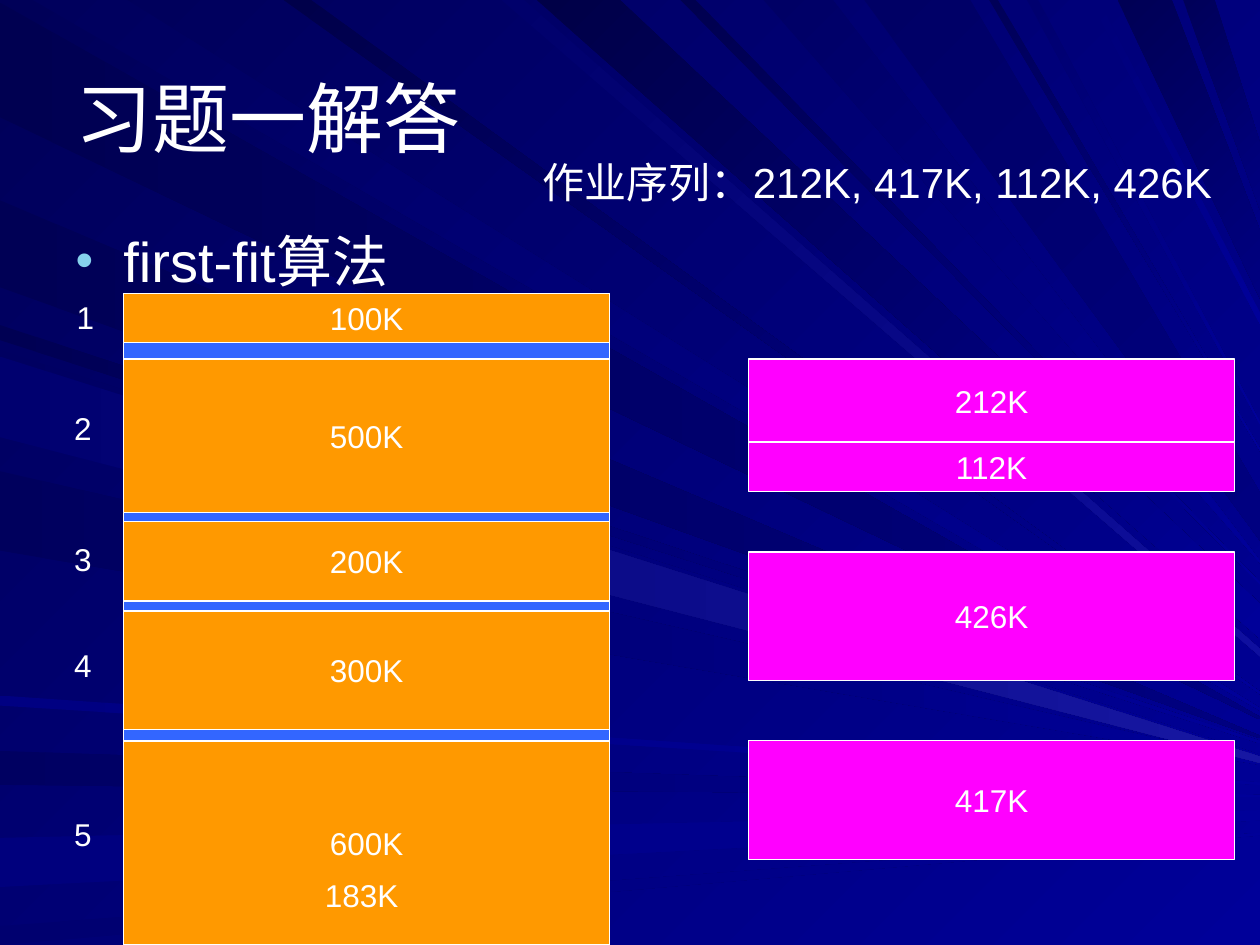
from typing import NamedTuple

from lxml.etree import SubElement as Sub
from pptx import Presentation
from pptx.dml.color import RGBColor
from pptx.enum.shapes import MSO_SHAPE as Kind
from pptx.enum.text import MSO_ANCHOR as Anchor, MSO_AUTO_SIZE as Fit, PP_ALIGN as Align
from pptx.oxml.ns import qn
from pptx.util import Inches, Pt

WHITE, BLUE, ORANGE, PINK = "FFFFFF", "3366FF", "FF9900", "FF00FF"
FONT = "Arial"
WIDE = 3.86                        # width of every memory block
COLUMN = {BLUE: 0.98, ORANGE: 0.98, PINK: 5.94}  # left edge by fill


class Ray(NamedTuple):
    """A wedge from the left or top edge to the right edge."""
    start: float
    end: float
    tip: float
    hues: str
    flare: float = 0.02


class Block(NamedTuple):
    text: str
    top: float
    high: float
    fill: str = ORANGE


class Label(NamedTuple):
    text: str
    top: float
    left: float = 0.49
    wide: float = 0.39
    high: float = 0.4
    size: int = 18


LEFT_RAYS = [
    Ray(0.02, 0.93, 5.7, "000051 000080"),
    Ray(5.96, 6.23, 6.32, "000061 000099"),
    Ray(6.65, 7.04, 6.47, "00007D 000099", 0.08),
    Ray(7.35, 7.5, 6.62, "00006F 000099"),
    Ray(2.58, 2.7, 5.89, "000053 000099"),
    Ray(1.59, 2.28, 5.85, "000055 000080"),
    Ray(2.78, 3.42, 6, "000061 000099"),
    Ray(3.74, 4.37, 6.06, "00005D 000099"),
    Ray(5.52, 5.6, 6.22, "000082 000099"),
    Ray(2.83, 3.47, 6.03, "00006F 1717A2", 0.05),
]
TOP_RAYS = [
    Ray(0.26, 1.01, 5.63, "00005D 000099"),
    Ray(3.98, 4.16, 5.18, "00006B 0F0F9F", 0.06),
    Ray(4.26, 4.92, 4.93, "000047 000099", 0.28),
    Ray(5.4, 5.52, 4.63, "00004F 000099"),
    Ray(6.06, 6.61, 4.46, "000065 000099"),
    Ray(8.87, 9.3, 2.1, "000055 000080", 0.54),
    Ray(9.39, 9.64, 1.4, "000059 000080", 0.53),
    Ray(2.25, 2.47, 5.5, "00004A 000099"),
    Ray(6.86, 7.7, 4.1, "000065 000080", 0.38),
    Ray(7.85, 7.92, 3.57, "000058 000099"),
    Ray(8.15, 8.24, 3.36, "00006F 000099"),
    Ray(8.65, 8.72, 2.53, "000079 000099", 0.09),
]

BLOCKS = [
    Block("", 2.33, 5.17, BLUE),
    Block("100K", 2.33, 0.39),
    Block("500K", 2.85, 1.22),
    Block("200K", 4.14, 0.63),
    Block("300K", 4.85, 0.94),
    Block("600K", 5.88, 1.62),
    Block("212K", 2.85, 0.66, PINK),
    Block("417K", 5.88, 0.94, PINK),
    Block("112K", 3.51, 0.39, PINK),
    Block("426K", 4.38, 1.02, PINK),
]

LABELS = [
    Label("1", 2.32, 0.51, 0.47),
    Label("2", 3.2),
    Label("3", 4.24),
    Label("4", 5.08),
    Label("5", 6.42),
    Label("作业序列：212K, 417K, 112K, 426K", 1.19, 4.21, 5.59, 0.5, 24),
]


def color(code: str) -> RGBColor:
    return RGBColor.from_string(code)


def paint(fill, hues: str, angle: int = 0) -> None:
    """Fill with one colour, or with a gradient between two."""
    codes = hues.split()
    if len(codes) == 1:
        fill.solid()
        fill.fore_color.rgb = color(codes[0])
        return
    fill.gradient()
    fill.gradient_angle = -angle % 360
    for stop, code in zip(fill.gradient_stops, codes):
        stop.color.rgb = color(code)


def write(shape, text: str, size: int, align=Align.LEFT, wrap: bool = True):
    frame = shape.text_frame
    frame.word_wrap = wrap
    frame.auto_size = Fit.NONE
    para = frame.paragraphs[0]
    para.text = text
    para.alignment = align
    para.space_before = Pt(0)
    font = para.font
    font.name, font.size = FONT, Pt(size)
    font.color.rgb = color(WHITE)
    return frame


def place(shape, *box: float) -> None:
    shape.left, shape.top, shape.width, shape.height = map(Inches, box)


def add_ray(group, ray: Ray, side: bool) -> None:
    ends = (ray.start, ray.end)
    base = [(0, end) if side else (end, 0) for end in ends]
    half = ray.flare / 2
    low, high = (10, ray.tip + half), (10, ray.tip - half)
    far = [low, high] if side else [high, low]
    first, *rest = [(Inches(x), Inches(y)) for x, y in base + far]
    pen = group.shapes.build_freeform(*first, scale=1.0)
    pen.add_line_segments(rest, close=True)
    shape = pen.convert_to_shape()
    shape.shadow.inherit = False
    shape.line.fill.background()
    paint(shape.fill, ray.hues, 0 if side else 45)


def add_rect(slide, fill: str, *box: float):
    shape = slide.shapes.add_shape(Kind.RECTANGLE, *map(Inches, box))
    shape.shadow.inherit = False
    paint(shape.fill, fill)
    return shape


def add_block(slide, block: Block) -> None:
    left = COLUMN[block.fill]
    shape = add_rect(slide, block.fill, left, block.top, WIDE, block.high)
    shape.line.color.rgb = color(WHITE)
    shape.line.width = Pt(0.75)
    if block.text:
        frame = write(shape, block.text, 18, Align.CENTER, wrap=False)
        frame.vertical_anchor = Anchor.MIDDLE


def add_label(slide, label: Label) -> None:
    box = map(Inches, (label.left, label.top, label.wide, label.high))
    write(slide.shapes.add_textbox(*box), label.text, label.size)


def add_bullet(para) -> None:
    props = para._p.get_or_add_pPr()
    props.set("marL", str(Inches(0.38)))
    props.set("indent", str(-Inches(0.38)))
    Sub(Sub(props, qn("a:buClr")), qn("a:srgbClr"), val="86D1EC")
    Sub(props, qn("a:buSzPct"), val="90000")
    Sub(props, qn("a:buChar"), char="•")


def main() -> None:
    deck = Presentation()
    deck.slide_width, deck.slide_height = Inches(10), Inches(7.5)
    slide = deck.slides.add_slide(deck.slide_layouts[1])
    title, body = slide.placeholders

    # Backdrop of rays, kept behind the placeholders
    paint(slide.background.fill, "000058 000099", 45)
    group = slide.shapes.add_group_shape()
    for rays, side in ((LEFT_RAYS[:-1], True), (TOP_RAYS, False), (LEFT_RAYS[-1:], True)):
        for ray in rays:
            add_ray(group, ray, side)
    for holder in (title, body):
        slide.shapes.element.append(holder.element)

    # Title and algorithm name
    place(title, 0.5, 0.3, 9, 1.25)
    write(title, "习题一解答", 44).vertical_anchor = Anchor.MIDDLE
    place(body, 0.5, 1.75, 9, 0.66)
    add_bullet(body.text_frame.paragraphs[0])
    write(body, "first-fit算法", 32)

    # Memory blocks, their numbers and the job list
    for block in BLOCKS:
        add_block(slide, block)
    for label in LABELS:
        add_label(slide, label)

    # What remains of the last block
    rest = add_rect(slide, ORANGE, 2.24, 6.9, 1.26, 0.4)
    rest.line.fill.background()
    write(rest, "183K", 18, Align.CENTER).vertical_anchor = Anchor.TOP

    deck.save("out.pptx")


if __name__ == "__main__":
    main()
